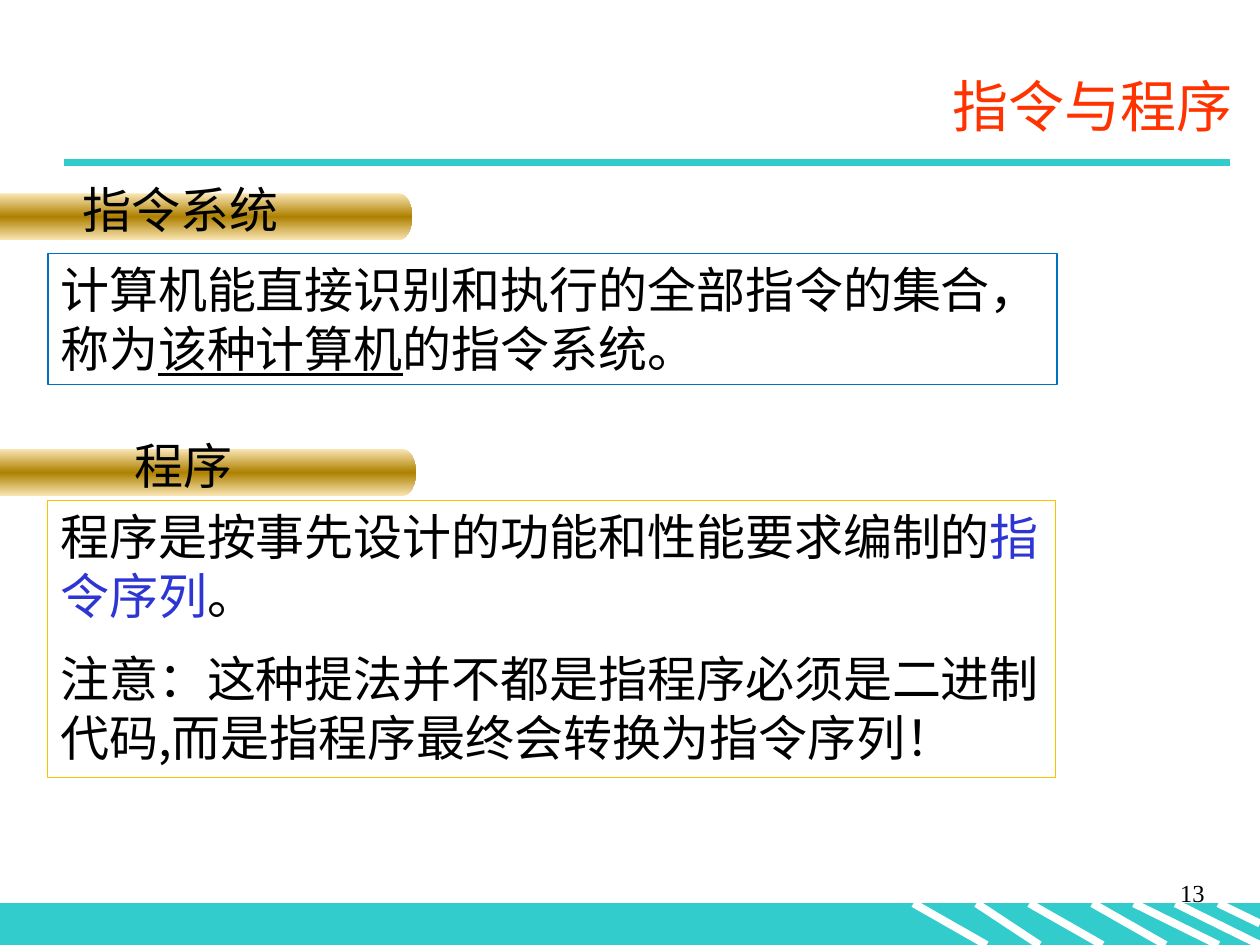
import pptx
import pptx.util
import pptx.dml.color
import pptx.enum.shapes
import pptx.enum.text
import pptx.oxml
import pptx.oxml.ns

Inches, Pt = pptx.util.Inches, pptx.util.Pt
SHAPE = pptx.enum.shapes.MSO_SHAPE
ALIGN = pptx.enum.text.PP_ALIGN
ANCHOR = pptx.enum.text.MSO_ANCHOR
SERIF, SANS = "Times New Roman", "Noto Sans CJK SC"
TEAL, WHITE, BLACK = "33CCCC", "FFFFFF", "000000"

# Content: each run is (text, color, underline)
TITLE = "指令与程序"
PAGE = "13"
SECTIONS = [
    {"label": "指令系统", "label_at": (0.38, 1.43, 2.1, 0.51),
     "bar_center": (1.41, 1.72), "box": (0.38, 2.01, 8.01, 1.04), "line": "0070C0",
     "body": [[("计算机能直接识别和执行的全部指令的集合，称为", BLACK, False),
               ("该种计算机", BLACK, True),
               ("的指令系统。", BLACK, False)]]},
    {"label": "程序", "label_at": (0.41, 3.46, 2.1, 0.51),
     "bar_center": (1.44, 3.75), "box": (0.38, 3.97, 8, 2.2), "line": "FFC000",
     "body": [[("程序是按事先设计的功能和性能要求编制的", BLACK, False),
               ("指令序列", "2D35D3", False),
               ("。", BLACK, False)],
              [("注意：这种提法并不都是指程序必须是二进制代码,而是指程序最终会转换为指令序列！",
                BLACK, False)]]},
]
STRIPES = [(7.75, 8.25, 7.5), (7.25, 7.83, 7.5), (8.17, 8.75, 7.5), (9.33, 10, 7.5),
           (9, 9.67, 7.5), (9.67, 10, 7.33), (8.67, 9.25, 7.5)]  # x1, x2, y2
FOOTER_TOP = 7.17
BAR_LENGTH, BAR_HEIGHT = 3.72, 0.37
BAR_STOPS = [(0, "F9E5B3"), (50, "AE8000"), (100, "F9E5B3")]

prs = pptx.Presentation()
prs.slide_width, prs.slide_height = Inches(10), Inches(7.5)
s = prs.slides.add_slide(prs.slide_layouts[6])


def rgb(value):
    return pptx.dml.color.RGBColor.from_string(value)


def add_line(x1, y1, x2, y2, color):
    c = s.shapes.add_connector(pptx.enum.shapes.MSO_CONNECTOR.STRAIGHT,
                               *map(Inches, (x1, y1, x2, y2)))
    c.line.color.rgb, c.line.width = rgb(color), Pt(4.5)
    pptx.oxml.ns.qn("a:effectLst")
    c._element.spPr.append(pptx.oxml.parse_xml(
        f'<a:effectLst {pptx.oxml.ns.nsdecls("a")}/>'))


def add_shape(kind, at, fill=None, line=None):
    sp = s.shapes.add_shape(kind, *map(Inches, at))
    sp.shadow.inherit = False
    if fill:
        sp.fill.solid()
        sp.fill.fore_color.rgb = rgb(fill)
    else:
        sp.fill.background()
    if line:
        sp.line.color.rgb, sp.line.width = rgb(line), Pt(0.75)
    else:
        sp.line.fill.background()
    return sp


def write(sp, paragraphs, size, font, align, anchor=ANCHOR.TOP):
    tf = sp.text_frame
    tf.word_wrap, tf.vertical_anchor = True, anchor
    for i, runs in enumerate(paragraphs):
        p = tf.paragraphs[0] if i == 0 else tf.add_paragraph()
        p.alignment = align
        if i:
            p.space_before = Pt(size / 2)
        for text, color, underline in runs:
            r = p.add_run()
            r.text = text
            formats = {"size": Pt(size), "name": font, "underline": underline}
            for name, value in formats.items():
                setattr(r.font, name, value)
            r.font.color.rgb = rgb(color)
            r.font._element.find(pptx.oxml.ns.qn("a:latin")).addnext(pptx.oxml.parse_xml(
                f'<a:ea {pptx.oxml.ns.nsdecls("a")} typeface="{SANS}"/>'))


def add_text(at, text, size, color, align, anchor=ANCHOR.TOP):
    sp = s.shapes.add_textbox(*map(Inches, at))
    write(sp, [[(text, color, False)]], size, SERIF, align, anchor)


def add_bar(cx, cy):
    # A can turned on its side, shaded across its height
    sp = add_shape(SHAPE.CAN, (cx - BAR_HEIGHT / 2, cy - BAR_LENGTH / 2,
                               BAR_HEIGHT, BAR_LENGTH))
    sp.rotation, sp.adjustments[0] = 270, 0.55
    stops = "".join(f'<a:gs pos="{pos * 1000}"><a:srgbClr val="{color}"/></a:gs>'
                    for pos, color in BAR_STOPS)
    spPr = sp._element.spPr
    old = spPr.find(pptx.oxml.ns.qn("a:noFill"))
    spPr.replace(old, pptx.oxml.parse_xml(
        f'<a:gradFill {pptx.oxml.ns.nsdecls("a")} rotWithShape="1">'
        f'<a:gsLst>{stops}</a:gsLst><a:lin ang="0" scaled="0"/></a:gradFill>'))


# Footer band with stripes, and the rule under the title
add_shape(SHAPE.RECTANGLE, (0, FOOTER_TOP, 10, 0.33), TEAL, TEAL)
for x1, x2, y2 in STRIPES:
    add_line(x1, FOOTER_TOP, x2, y2, WHITE)
add_line(0.51, 1.29, 9.76, 1.29, TEAL)

# Title and page number
add_text((1.38, 0.44, 8.5, 0.79), TITLE, 32, "FF3300", ALIGN.RIGHT, ANCHOR.MIDDLE)
add_text((7.58, 6.92, 2.08, 0.5), PAGE, 14, BLACK, ALIGN.RIGHT)

# Sections: bar, label and framed text
for sec in SECTIONS:
    add_bar(*sec["bar_center"])
    add_text(sec["label_at"], sec["label"], 28, BLACK, ALIGN.CENTER, ANCHOR.BOTTOM)
    sp = add_shape(SHAPE.RECTANGLE, sec["box"], line=sec["line"])
    write(sp, sec["body"], 28, SANS, ALIGN.LEFT)

prs.save("out.pptx")
